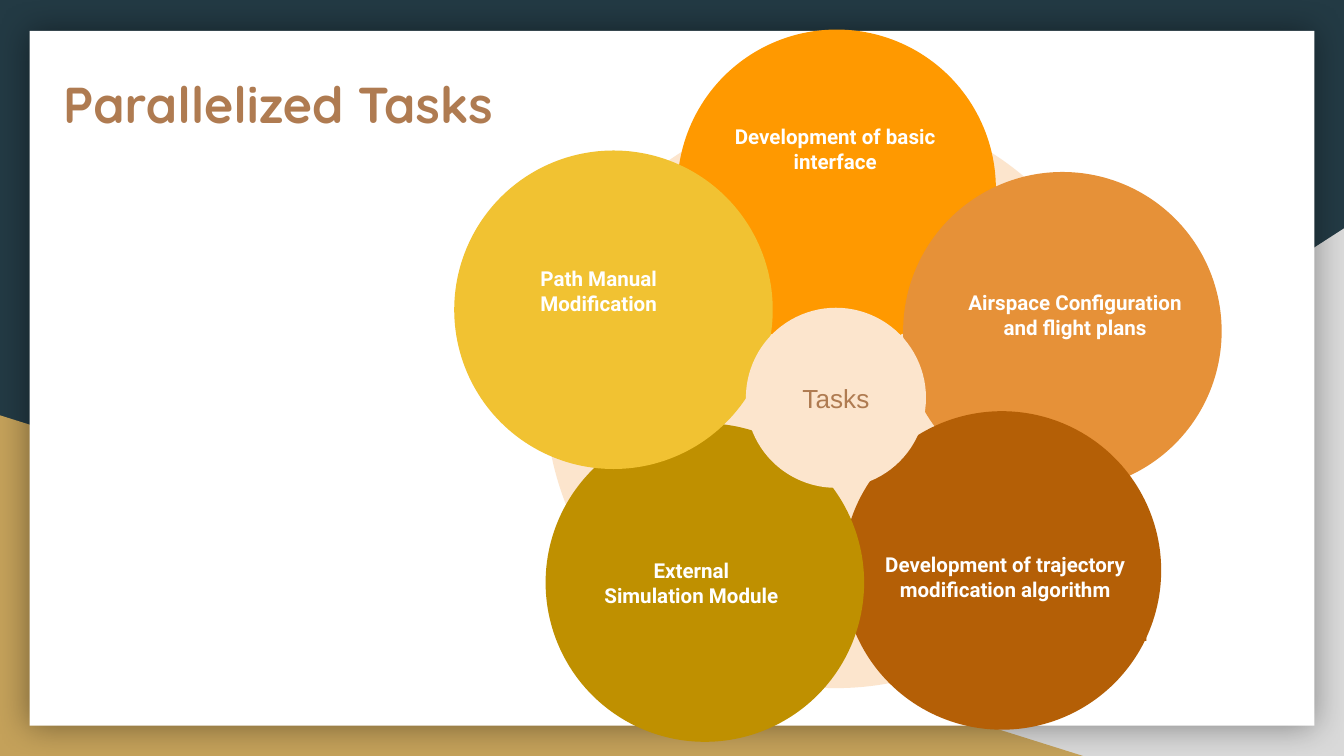
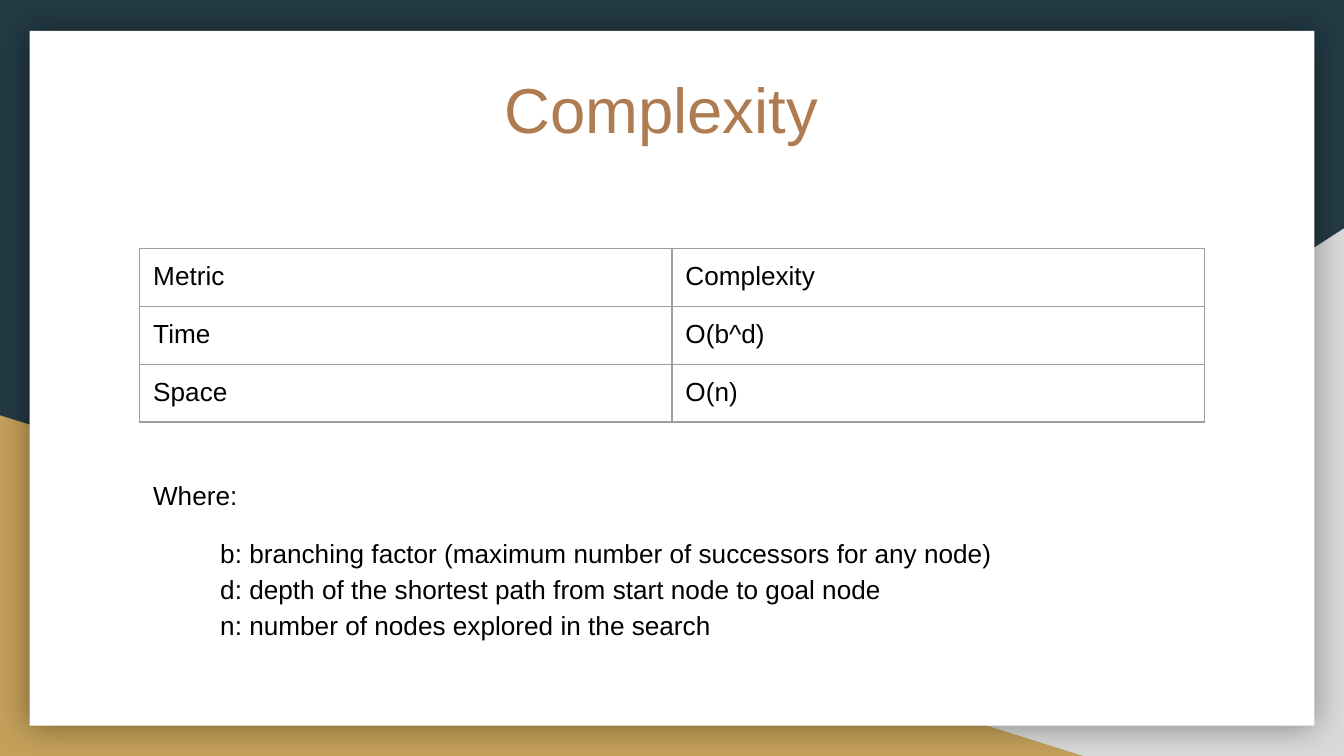
import pptx
import pptx.util
import pptx.dml.color
import pptx.enum.shapes
import pptx.enum.text
import pptx.oxml
import pptx.oxml.ns
from lxml import etree

Inches, Pt = pptx.util.Inches, pptx.util.Pt
SHAPE = pptx.enum.shapes.MSO_SHAPE
ALIGN = pptx.enum.text.PP_ALIGN
ANCHOR = pptx.enum.text.MSO_ANCHOR
qn = pptx.oxml.ns.qn

# Content
WIDTH, HEIGHT = 10, 5.625
COLORS = {
    "navy": "233A44", "gray": "D9D9D9", "gold": "C4A15A", "paper": "FFFFFF",
    "brown": "AF7B51", "cream": "FCE5CD", "black": "000000", "border": "9E9E9E",
    "orange": "FF9900", "apricot": "E69138", "rust": "B45F06",
    "olive": "BF9000", "yellow": "F1C232",
}
TASKS_TITLE = "Parallelized Tasks"
HUB_LABEL = "Tasks"
PETAL_SIZE = 2.37
# Label, colour, left and top of the circle, place of the label box
PETALS = [
    ("Development of basic interface", "orange", (5.04, 0.22), (5.36, 0.61, 1.71, 1)),
    ("Airspace Configuration and flight plans", "apricot", (6.72, 1.28), (7.1, 1.93, 1.8, 0.82)),
    ("Development of trajectory modification algorithm", "rust", (6.27, 3.06), (6.43, 3.81, 2.1, 0.96)),
    ("External Simulation Module", "olive", (4.06, 3.15), (4.39, 3.98, 1.51, 0.71)),
    ("Path Manual Modification", "yellow", (3.38, 1.12), (3.64, 1.69, 1.63, 0.95)),
]
COMPLEXITY_TITLE = "Complexity"
COMPLEXITY_ROWS = [("Metric", "Complexity"), ("Time", "O(b^d)"), ("Space", "O(n)")]
LEGEND_HEADING = "Where:"
LEGEND = [
    "b: branching factor (maximum number of successors for any node)",
    "d: depth of the shortest path from start node to goal node",
    "n: number of nodes explored in the search",
]
BODY_LEFT, BODY_WIDTH, ROW_HEIGHT = 1.04, 7.92, 0.43


# Helpers
def rgb(name):
    return pptx.dml.color.RGBColor.from_string(COLORS[name])


def box(*lengths):
    return [Inches(length) for length in lengths]


def style(paragraph, size, font="Arial", color="black", bold=False, align=ALIGN.LEFT):
    paragraph.font.size = Pt(size)
    paragraph.font.name = font
    paragraph.font.bold = bold
    paragraph.font.color.rgb = rgb(color)
    paragraph.alignment = align


def prepare_frame(frame, anchor):
    frame.word_wrap = True
    frame.auto_size = pptx.enum.text.MSO_AUTO_SIZE.NONE
    frame.vertical_anchor = anchor
    frame.margin_left = frame.margin_right = Inches(0.1)
    frame.margin_top = frame.margin_bottom = Inches(0.1)


def add_filled(shapes, kind, place, color):
    shape = shapes.add_shape(kind, *box(*place))
    shape.shadow.inherit = False
    shape.fill.solid()
    shape.fill.fore_color.rgb = rgb(color)
    shape.line.fill.background()
    return shape


def add_label(shape, text, **font):
    prepare_frame(shape.text_frame, ANCHOR.MIDDLE)
    shape.text_frame.text = text
    style(shape.text_frame.paragraphs[0], align=ALIGN.CENTER, **font)


def set_title(slide, text, place, **font):
    title = slide.shapes.title
    title.left, title.top, title.width, title.height = box(*place)
    prepare_frame(title.text_frame, ANCHOR.TOP)
    title.text_frame.text = text
    style(title.text_frame.paragraphs[0], color="brown", **font)


def add_glow(shape):
    effects = shape._element.spPr.find(qn("a:effectLst"))
    shadow = etree.SubElement(effects, qn("a:outerShdw"), blurRad=str(Pt(18)), dist="0",
                              algn="ctr", rotWithShape="0")
    color = etree.SubElement(shadow, qn("a:srgbClr"), val=COLORS["black"])
    etree.SubElement(color, qn("a:alpha"), val="40000")


def set_borders(cell):
    properties = cell._tc.get_or_add_tcPr()
    for index, side in enumerate(("lnL", "lnR", "lnT", "lnB")):
        line = etree.Element(qn("a:" + side), w=str(Pt(0.75)))
        fill = etree.SubElement(line, qn("a:solidFill"))
        etree.SubElement(fill, qn("a:srgbClr"), val=COLORS["border"])
        properties.insert(index, line)


# Shared backdrop, moved from a slide into its layout
def build_backdrop(slide, layout):
    layout.background.fill.solid()
    layout.background.fill.fore_color.rgb = rgb("navy")
    for placeholder in list(layout.placeholders):
        if placeholder.placeholder_format.type != pptx.enum.shapes.PP_PLACEHOLDER.TITLE:
            placeholder._element.getparent().remove(placeholder._element)
    right = add_filled(slide.shapes, SHAPE.RIGHT_TRIANGLE, (3.92, 1.7, 6.08, HEIGHT - 1.7), "gray")
    right._element.spPr.find(qn("a:xfrm")).set("flipH", "1")
    left = add_filled(slide.shapes, SHAPE.RIGHT_TRIANGLE, (0, 3.09, 8.06, HEIGHT - 3.09), "gold")
    paper = add_filled(slide.shapes, SHAPE.RECTANGLE, (0.22, 0.23, 9.56, 5.17), "paper")
    add_glow(paper)
    for index, shape in enumerate((right, left, paper)):
        layout.shapes._spTree.insert(2 + index, shape._element)


# Slide 1: overlapping task circles around a hub
def build_tasks(slide):
    set_title(slide, TASKS_TITLE, (0.37, 0.44, 9.32, 0.63), size=27, font="Quicksand", bold=True)
    add_filled(slide.shapes, SHAPE.OVAL, (4.06, 0.8, 4.32, 4.32), "cream")
    for label, color, corner, label_place in PETALS:
        group = slide.shapes.add_group_shape()
        add_filled(group.shapes, SHAPE.OVAL, (*corner, PETAL_SIZE, PETAL_SIZE), color)
        label_box = add_filled(group.shapes, SHAPE.RECTANGLE, label_place, color)
        add_label(label_box, label, size=11, font="Roboto", color="paper", bold=True)
    hub = add_filled(slide.shapes, SHAPE.OVAL, (5.55, 2.29, 1.34, 1.34), "cream")
    add_label(hub, HUB_LABEL, size=14, color="brown")


# Slide 2: complexity table and its legend
def build_complexity(slide):
    set_title(slide, COMPLEXITY_TITLE, (1.18, 0.42, 7.48, 0.77), size=34, align=ALIGN.CENTER)

    row_count, column_count = len(COMPLEXITY_ROWS), len(COMPLEXITY_ROWS[0])
    place = box(BODY_LEFT, 1.85, BODY_WIDTH, ROW_HEIGHT * row_count)
    table = slide.shapes.add_table(row_count, column_count, *place).table
    table.first_row = table.horz_banding = False
    for row, texts in enumerate(COMPLEXITY_ROWS):
        for column, text in enumerate(texts):
            cell = table.cell(row, column)
            cell.text = text
            cell.margin_left = cell.margin_right = Inches(0.1)
            cell.margin_top = cell.margin_bottom = Inches(0.1)
            cell.fill.background()
            set_borders(cell)
            style(cell.text_frame.paragraphs[0], 14)

    frame = slide.shapes.add_textbox(*box(BODY_LEFT, 3.43, BODY_WIDTH, 1.42)).text_frame
    prepare_frame(frame, ANCHOR.TOP)
    frame.text = "\n".join([LEGEND_HEADING, *LEGEND])
    for index, paragraph in enumerate(frame.paragraphs):
        style(paragraph, 14)
        paragraph.line_spacing = 1.15
        paragraph.space_before = Pt(12 if index < 2 else 0)
        if index:
            paragraph._p.get_or_add_pPr().set("marL", str(Inches(0.5)))


def main():
    presentation = pptx.Presentation()
    presentation.slide_width, presentation.slide_height = box(WIDTH, HEIGHT)
    layout = presentation.slide_layouts[5]
    tasks, complexity = [presentation.slides.add_slide(layout) for _ in range(2)]
    build_backdrop(tasks, layout)
    build_tasks(tasks)
    build_complexity(complexity)
    presentation.save("out.pptx")


if __name__ == "__main__":
    main()
